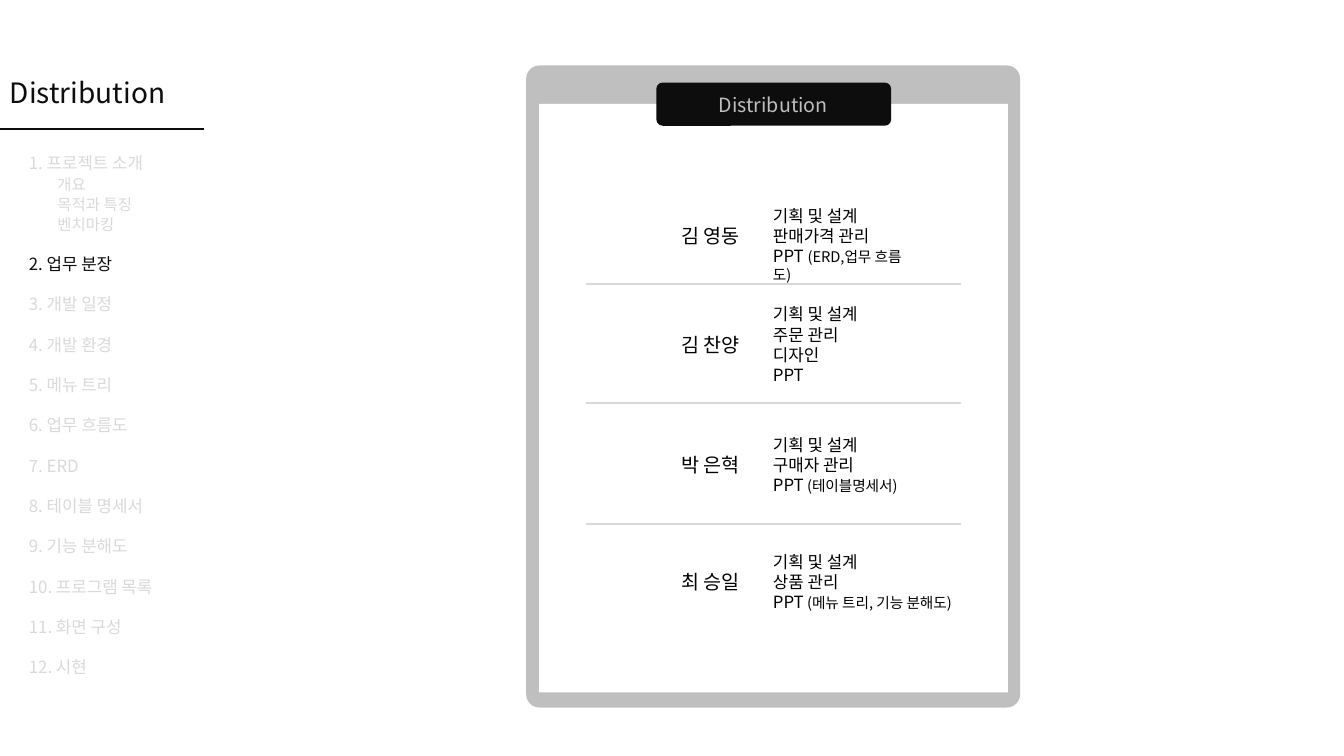
from lxml import etree
from pptx import Presentation
from pptx.dml.color import RGBColor as RGB
from pptx.enum.shapes import MSO_CONNECTOR as CONNECTOR, MSO_SHAPE as SHAPE
from pptx.enum.text import MSO_AUTO_SIZE as AUTO_SIZE, PP_ALIGN as ALIGN
from pptx.oxml.ns import qn
from pptx.util import Cm, Pt

COLORS = {"ink": "0D0D0D", "text": "000000", "frame": "BFBFBF",
          "faint": "D9D9D9", "paper": "FFFFFF"}
FONT = "Noto Sans CJK KR"
FRAME_FORMAT = {"word_wrap": True, "auto_size": AUTO_SIZE.SHAPE_TO_FIT_TEXT}
SUBTOPIC_FORMAT = {"line_spacing": Pt(14.4)}
TOPIC_FORMAT = {"line_spacing": 2.0}

SUBTOPICS = ["개요", "목적과 특징", "벤치마킹"]
TOPICS = ["업무 분장", "개발 일정", "개발 환경", "메뉴 트리", "업무 흐름도", "ERD",
          "테이블 명세서", "기능 분해도", "프로그램 목록", "화면 구성", "시현"]
CURRENT_TOPIC = "업무 분장"

MEMBERS = [
    ("김 영동", ["기획 및 설계", "판매가격 관리", "PPT "], "(ERD,업무 흐름도)", 3.4, 4.19, 1.8),
    ("김 찬양", ["기획 및 설계", "주문 관리", "디자인", "PPT"], "", 5.89, 2.67, 2.31),
    ("박 은혁", ["기획 및 설계", "구매자 관리", "PPT"], " (테이블명세서)", 9.17, 3.66, 1.8),
    ("최 승일", ["기획 및 설계", "상품 관리", "PPT"], " (메뉴 트리, 기능 분해도)", 12.12, 5.03, 1.8),
]
DIVIDERS = [5.51, 8.51, 11.56]


def apply(target, formats):
    for attribute, value in formats.items():
        setattr(target, attribute, value)


def add_block(shapes, left, top, width, height, color, rounding):
    block = shapes.add_shape(SHAPE.ROUNDED_RECTANGLE, Cm(left), Cm(top), Cm(width), Cm(height))
    block.adjustments[0] = rounding
    block.shadow.inherit = False
    block.fill.solid()
    block.fill.fore_color.rgb = RGB.from_string(COLORS[color])
    block.line.fill.background()


def add_rule(shapes, left, right, y, color):
    rule = shapes.add_connector(CONNECTOR.STRAIGHT, Cm(left), Cm(y), Cm(right), Cm(y))
    rule.line.color.rgb = RGB.from_string(COLORS[color])
    rule.line.width = Pt(1.5)
    etree.SubElement(rule._element.spPr, qn("a:effectLst"))


def add_run(paragraph, words, size, color):
    run = paragraph.add_run()
    run.text = words
    apply(run.font, {"size": Pt(size), "name": FONT})
    run.font.color.rgb = RGB.from_string(COLORS[color])
    etree.SubElement(run._r.get_or_add_rPr(), qn("a:ea"), typeface=FONT)


def add_text(shapes, left, top, width, height, lines, size, color):
    frame = shapes.add_textbox(Cm(left), Cm(top), Cm(width), Cm(height)).text_frame
    apply(frame, FRAME_FORMAT)
    for index, words in enumerate(lines):
        paragraph = frame.add_paragraph() if index else frame.paragraphs[0]
        add_run(paragraph, words, size, color)
    return frame


def add_sidebar(shapes, left, top):
    add_text(shapes, left, top, 4.88, 1.12, ["Distribution"], 20, "ink")
    add_rule(shapes, left - 0.03, left + 5.13, top + 1.47, "ink")
    agenda = add_text(shapes, left + 0.48, top + 1.95, 3.68, 13.59,
                      ["1. 프로젝트 소개"], 12, "faint")
    for subtopic in SUBTOPICS:
        paragraph = agenda.add_paragraph()
        paragraph._p.get_or_add_pPr().set("marL", str(Cm(0.72)))
        apply(paragraph, SUBTOPIC_FORMAT)
        add_run(paragraph, subtopic, 11, "faint")
    for number, topic in enumerate(TOPICS, 2):
        paragraph = agenda.add_paragraph()
        apply(paragraph, TOPIC_FORMAT)
        color = "ink" if topic == CURRENT_TOPIC else "faint"
        add_run(paragraph, f"{number}. {topic}", 12, color)


def add_member(shapes, left, top, width, height, name, duties, detail):
    name_height = 0.86
    add_text(shapes, left, top + (height - name_height) / 2, 2.01, name_height,
             [name], 14, "text")
    tasks = add_text(shapes, left + 2.31, top, width, height, duties, 12, "text")
    if detail:
        add_run(tasks.paragraphs[-1], detail, 10.5, "text")


def add_board(shapes, left, top, width, height):
    add_block(shapes, left, top, width, height, "frame", 0.027)
    add_block(shapes, left + 0.33, top + 0.97, width - 0.64, height - 1.35, "paper", 0)
    for name, duties, detail, offset, duty_width, duty_height in MEMBERS:
        add_member(shapes, left + 3.66, top + offset, duty_width, duty_height,
                   name, duties, detail)
    dividers = shapes.add_group_shape().shapes
    for offset in DIVIDERS:
        add_rule(dividers, left + 1.52, left + 10.95, top + offset, "faint")
    add_block(shapes, left + 3.28, top + 0.43, 5.92, 1.09, "ink", 0.149)
    heading = add_text(shapes, left + 4.44, top + 0.56, 3.58, 0.86,
                       ["Distribution"], 14, "frame")
    heading.paragraphs[0].alignment = ALIGN.CENTER


def main():
    deck = Presentation()
    apply(deck, {"slide_width": Cm(33.87), "slide_height": Cm(19.05)})
    shapes = deck.slides.add_slide(deck.slide_layouts[6]).shapes
    add_board(shapes, 13.26, 1.65, 12.45, 16.18)
    add_sidebar(shapes, 0, 1.78)
    deck.save("out.pptx")


if __name__ == "__main__":
    main()
